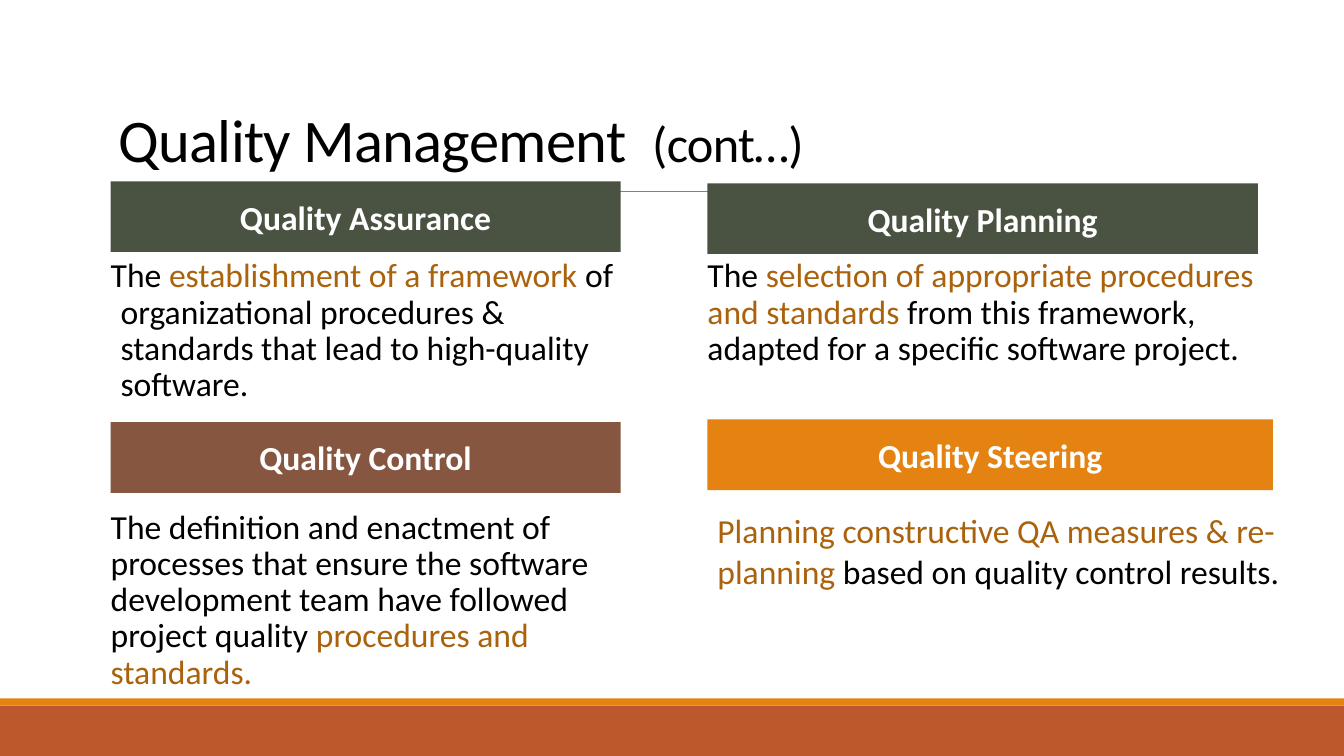
"""Build the Quality Management slide with four headed definitions."""
from lxml.etree import SubElement
from pptx import Presentation
from pptx.dml.color import RGBColor
from pptx.enum.shapes import MSO_CONNECTOR as CONNECTOR, MSO_SHAPE as SHAPE
from pptx.enum.text import MSO_ANCHOR as ANCHOR, PP_ALIGN as ALIGN
from pptx.oxml.ns import qn
from pptx.util import Cm, Pt

BLACK = RGBColor(0x00, 0x00, 0x00)
WHITE = RGBColor(0xFF, 0xFF, 0xFF)
GRAY = RGBColor(0x80, 0x80, 0x80)
OCHRE = RGBColor(0xAB, 0x62, 0x0D)
GREEN = RGBColor(0x4A, 0x52, 0x42)
BROWN = RGBColor(0x86, 0x56, 0x40)
ORANGE = RGBColor(0xE4, 0x83, 0x12)
RUST = RGBColor(0xBD, 0x58, 0x2C)

FONT = "Calibri"
WIDTH, HEIGHT = 33.87, 19.05
LEFT, RIGHT = 2.79, 17.83
HEADING_HEIGHT = 1.78
UPPER_TEXT, LOWER_TEXT = 6.4, 12.73

TITLE = [("Quality Management  ", BLACK, 43.2), ("(cont…)", BLACK, 36)]
FOOTER = [(17.78, 1.27, RUST), (17.6, 0.18, ORANGE)]
HEADINGS = [
    ("Quality Assurance", LEFT, 4.57, 12.85, GREEN),
    ("Quality Planning", RIGHT, 4.62, 13.87, GREEN),
    ("Quality Control", LEFT, 10.64, 12.85, BROWN),
    ("Quality Steering", RIGHT, 10.57, 14.25, ORANGE),
]
DEFINITIONS = [
    {"box": (LEFT, UPPER_TEXT, 12.85, 3.73), "inset": 0, "spacing": 0.9, "hanging": 0.25,
     "parts": [("The ", BLACK, 24), ("establishment of a framework ", OCHRE, 24),
               ("of organizational procedures & standards that lead to "
                "high-quality software.", BLACK, 24)]},
    {"box": (RIGHT, UPPER_TEXT, 13.87, 4.88), "inset": 0, "spacing": 0.9, "hanging": 0,
     "parts": [("The ", BLACK, 24),
               ("selection of appropriate procedures and standards ", OCHRE, 24),
               ("from this framework, adapted for a specific software project.", BLACK, 24)]},
    {"box": (LEFT, LOWER_TEXT, 12.85, 3.73), "inset": 0, "spacing": 0.9, "hanging": 0,
     "parts": [("The definition and enactment of processes that ensure the software "
                "development team have followed project quality ", BLACK, 24),
               ("procedures and standards.", OCHRE, 24)]},
    {"box": (RIGHT, LOWER_TEXT, 15.42, 4.57), "inset": 0.25, "spacing": 1.0, "hanging": 0,
     "parts": [("Planning constructive QA measures & re-planning ", OCHRE, 24),
               ("based on quality control results.", BLACK, 24)]},
]


def add_block(slide, left, top, width, height, color):
    block = slide.shapes.add_shape(SHAPE.RECTANGLE, Cm(left), Cm(top), Cm(width), Cm(height))
    block.shadow.inherit = False
    block.fill.solid()
    block.fill.fore_color.rgb = color
    block.line.fill.background()
    return block


def add_heading(slide, label, left, top, width, color):
    frame = add_block(slide, left, top, width, HEADING_HEIGHT, color).text_frame
    frame.text = label
    frame.vertical_anchor = ANCHOR.MIDDLE
    heading = frame.paragraphs[0]
    heading.alignment = ALIGN.CENTER
    font = heading.runs[0].font
    font.name, font.size, font.bold = FONT, Pt(24), True
    font.color.rgb = WHITE


def add_passage(slide, box, parts, inset, spacing, hanging=0):
    frame = slide.shapes.add_textbox(*map(Cm, box)).text_frame
    frame.word_wrap = True
    frame.margin_left = frame.margin_right = Cm(inset)
    passage = frame.paragraphs[0]
    passage.line_spacing = spacing
    if hanging:
        properties = passage._p.get_or_add_pPr()
        properties.set("marL", str(Cm(hanging)))
        properties.set("indent", str(-Cm(hanging)))
    for words, color, size in parts:
        run = passage.add_run()
        run.text = words
        run.font.name, run.font.size = FONT, Pt(size)
        run.font.color.rgb = color
    return frame


def main():
    deck = Presentation()
    deck.slide_width, deck.slide_height = Cm(WIDTH), Cm(HEIGHT)
    slide = deck.slides.add_slide(deck.slide_layouts[6])

    for top, height, color in FOOTER:
        add_block(slide, 0, top, WIDTH, height, color)

    rule = slide.shapes.add_connector(CONNECTOR.STRAIGHT, Cm(3.33), Cm(4.83), Cm(31.01), Cm(4.83))
    rule.line.color.rgb = GRAY
    rule.line.width = Pt(0.5)
    SubElement(rule._element.spPr, qn("a:effectLst"))

    title = add_passage(slide, (2.74, 2.62, 27.94, 1.9), TITLE, 0.25, 0.85)
    title.vertical_anchor = ANCHOR.BOTTOM
    for run in title.paragraphs[0].runs:
        run._r.get_or_add_rPr().set("spc", "-50")

    for definition in DEFINITIONS:
        add_passage(slide, **definition)
    for heading in HEADINGS:
        add_heading(slide, *heading)

    deck.save("out.pptx")


if __name__ == "__main__":
    main()
